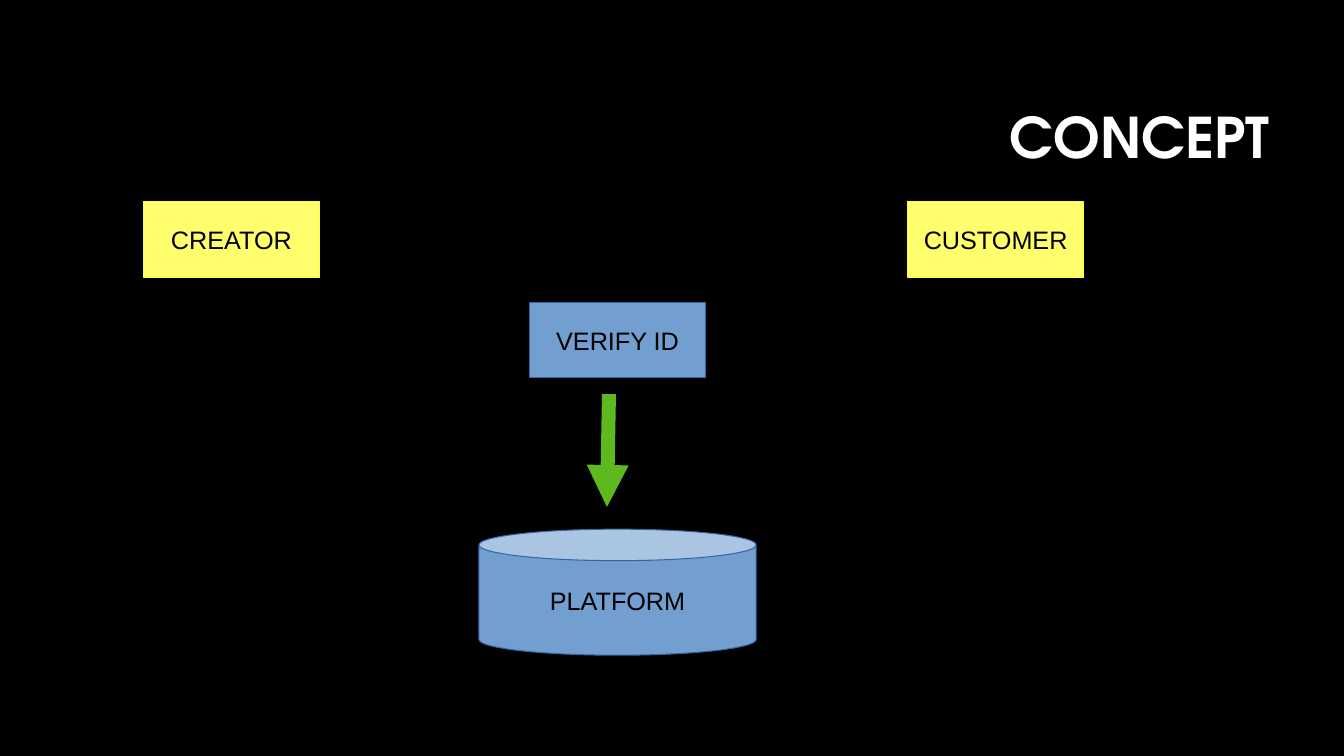
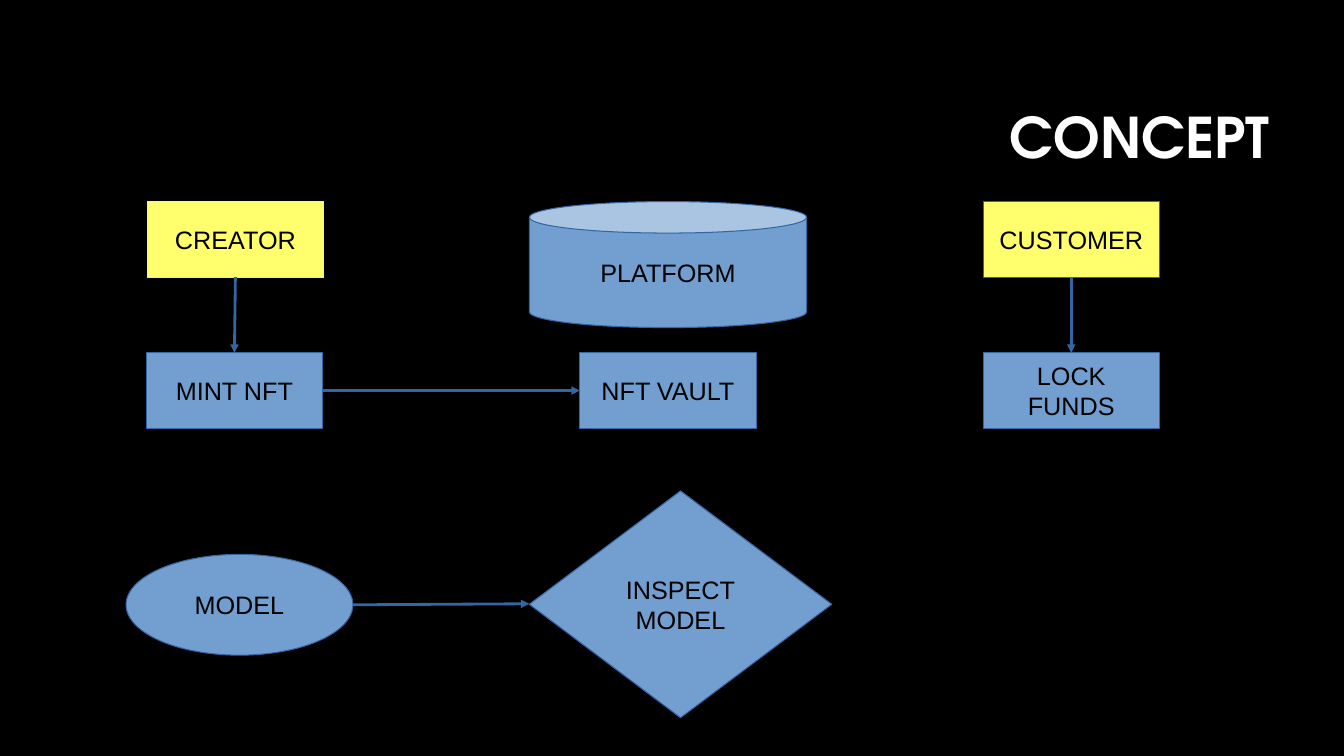
from lxml import etree
from pptx import Presentation
from pptx.dml.color import RGBColor
from pptx.enum.shapes import MSO_CONNECTOR, MSO_SHAPE
from pptx.enum.text import MSO_ANCHOR, MSO_AUTO_SIZE, PP_ALIGN
from pptx.oxml.ns import qn
from pptx.util import Pt

PX = 9144  # EMU per px, 100 px to the inch
SLIDE_WIDTH, SLIDE_HEIGHT = 1333, 750
BOX_SIZE = (175, 75)
CAN_SIZE = (275, 125)

BLACK = RGBColor(0x00, 0x00, 0x00)
WHITE = RGBColor(0xFF, 0xFF, 0xFF)
YELLOW = RGBColor(0xFF, 0xFF, 0x6D)
BRIGHT_YELLOW = RGBColor(0xFF, 0xFF, 0x38)
BLUE = RGBColor(0x72, 0x9F, 0xCF)
DARK_BLUE = RGBColor(0x34, 0x65, 0xA4)
GREEN = RGBColor(0x5E, 0xB9, 0x1E)

TITLE_FONT = "TeX Gyre Adventor"
BODY_FONT = "Arial"

RECTANGLE = MSO_SHAPE.RECTANGLE
CAN = MSO_SHAPE.CAN
DIAMOND = MSO_SHAPE.DIAMOND
OVAL = MSO_SHAPE.OVAL
STRAIGHT = MSO_CONNECTOR.STRAIGHT
MIDDLE = MSO_ANCHOR.MIDDLE
CENTER, RIGHT = PP_ALIGN.CENTER, PP_ALIGN.RIGHT
NO_AUTOFIT = MSO_AUTO_SIZE.NONE

# Connection sites, numbered counter-clockwise from the top
TOP_SITE, LEFT_SITE, BOTTOM_SITE, RIGHT_SITE = range(4)


def px(*lengths):
    return [length * PX for length in lengths]


def format_paragraphs(text_frame, alignment, font_name, size, color, bold=False):
    text_frame.vertical_anchor = MIDDLE
    for paragraph in text_frame.paragraphs:
        paragraph.alignment = alignment
        font = paragraph.font
        font.name, font.size, font.bold = font_name, Pt(size), bold
        font.color.rgb = color


def add_titled_slide(presentation, text):
    slide = presentation.slides.add_slide(presentation.slide_layouts[5])
    title = slide.shapes.title
    title.left, title.top, title.width, title.height = px(317, 69, 942, 141)
    frame = title.text_frame
    frame.text = text
    frame.auto_size = NO_AUTOFIT
    frame.margin_left = frame.margin_right = 0
    frame.margin_top = frame.margin_bottom = 0
    format_paragraphs(frame, RIGHT, TITLE_FONT, 40, WHITE, bold=True)
    frame.paragraphs[0].line_spacing = 0.9
    return slide


def add_node(slide, text, left, top, size=BOX_SIZE, kind=RECTANGLE,
             fill=BLUE, outline=DARK_BLUE):
    shape = slide.shapes.add_shape(kind, *px(left, top, *size))
    shape.shadow.inherit = False
    shape.fill.solid()
    shape.fill.fore_color.rgb = fill
    shape.line.color.rgb = outline
    shape.line.width = Pt(0)
    shape.text_frame.text = text
    shape.text_frame.word_wrap = True
    format_paragraphs(shape.text_frame, CENTER, BODY_FONT, 18, BLACK)
    return shape


def add_arrow(slide, start, end, color=DARK_BLUE, width=0):
    connector = slide.shapes.add_connector(STRAIGHT, *px(*start, *end))
    connector.line.color.rgb = color
    connector.line.width = Pt(width)
    properties = connector._element.spPr
    etree.SubElement(properties.find(qn("a:ln")), qn("a:tailEnd"), type="triangle")
    etree.SubElement(properties, qn("a:effectLst"))
    return connector


def link(slide, source, source_site, target, target_site):
    """Glue an arrow to a connection site of each of two nodes."""
    connector = add_arrow(slide, (0, 0), (0, 0))
    connector.begin_connect(source, source_site)
    connector.end_connect(target, target_site)


def build_verification(presentation):
    slide = add_titled_slide(presentation, "CONCEPT")
    for text, left in (("CREATOR", 142), ("CUSTOMER", 900)):
        add_node(slide, text, left, 200, fill=YELLOW, outline=BRIGHT_YELLOW)
    add_node(slide, "VERIFY ID", 525, 300)
    add_node(slide, "PLATFORM", 475, 525, CAN_SIZE, CAN)
    add_arrow(slide, (604, 391), (602, 503), GREEN, 10)


def build_minting(presentation):
    slide = add_titled_slide(presentation, "CONCEPT")
    creator = add_node(slide, "CREATOR", 146, 200, fill=YELLOW, outline=BRIGHT_YELLOW)
    customer = add_node(slide, "CUSTOMER", 975, 200, fill=YELLOW)
    mint = add_node(slide, "MINT NFT", 145, 350)
    vault = add_node(slide, "NFT VAULT", 575, 350)
    add_node(slide, "INSPECT\nMODEL", 525, 487, (300, 225), DIAMOND)
    lock = add_node(slide, "LOCK FUNDS", 975, 350)
    add_node(slide, "MODEL", 125, 550, (225, 100), OVAL)
    add_node(slide, "PLATFORM", 525, 200, CAN_SIZE, CAN)

    link(slide, creator, BOTTOM_SITE, mint, TOP_SITE)
    link(slide, mint, RIGHT_SITE, vault, LEFT_SITE)
    link(slide, customer, BOTTOM_SITE, lock, TOP_SITE)
    add_arrow(slide, (350, 600), (525, 599))


def main():
    presentation = Presentation()
    presentation.slide_width, presentation.slide_height = px(SLIDE_WIDTH, SLIDE_HEIGHT)
    background = presentation.slide_master.background.fill
    background.solid()
    background.fore_color.rgb = BLACK
    build_verification(presentation)
    build_minting(presentation)
    presentation.save("out.pptx")


if __name__ == "__main__":
    main()
